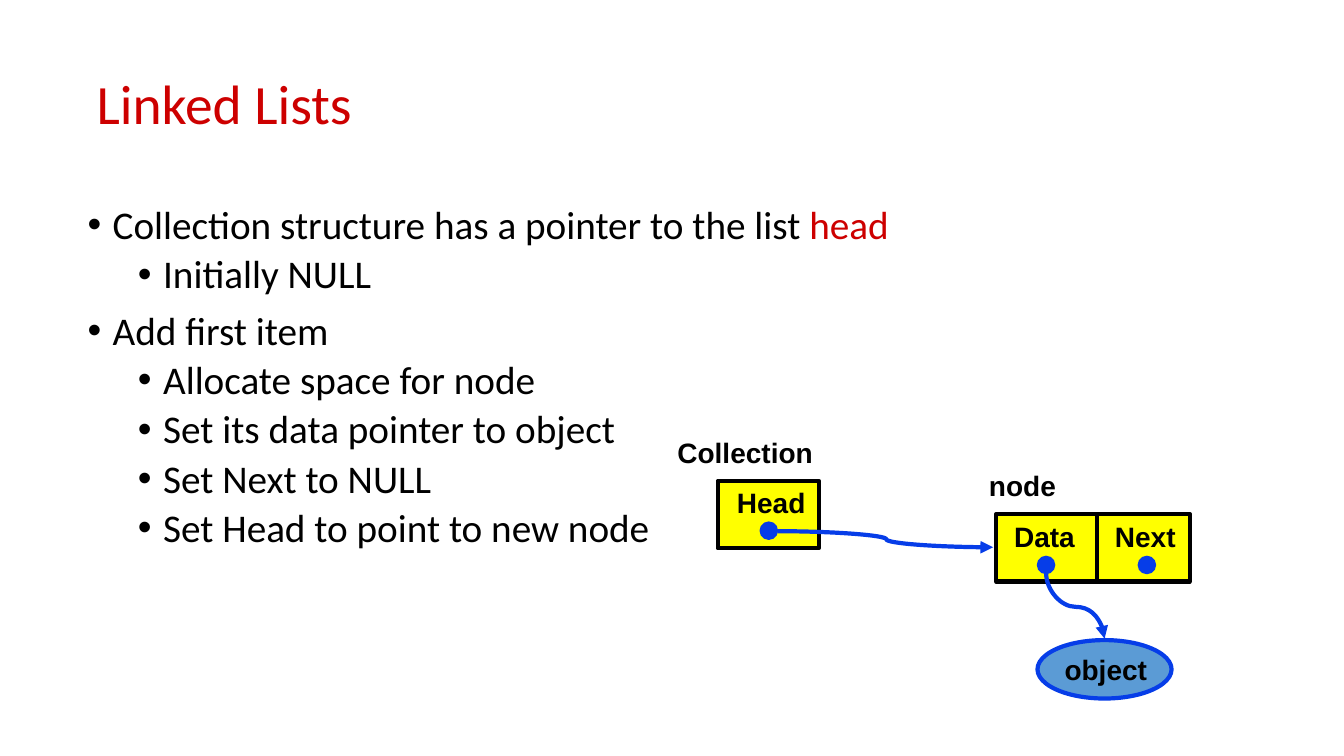
"""Builds the slide on linked lists with a diagram of the first node."""
from lxml import etree
from pptx import Presentation
from pptx.dml.color import RGBColor
from pptx.enum.shapes import MSO_CONNECTOR, MSO_SHAPE
from pptx.enum.text import MSO_ANCHOR, MSO_AUTO_SIZE
from pptx.oxml.ns import qn
from pptx.util import Pt

RECT, OVAL, CURVE = MSO_SHAPE.RECTANGLE, MSO_SHAPE.OVAL, MSO_CONNECTOR.CURVE
MIDDLE, GROW = MSO_ANCHOR.MIDDLE, MSO_AUTO_SIZE.SHAPE_TO_FIT_TEXT
PX = 9144
RED, BLACK, YELLOW, BLUE, SKY = "CD0000", "000000", "FFFF00", "063DE8", "5B9BD5"

TITLE = "Linked Lists"
BULLETS = [
    (0, [("Collection structure has a pointer to the list ", BLACK), ("head", RED)]),
    (1, [("Initially NULL", BLACK)]),
    (0, [("Add first item", BLACK)]),
    (1, [("Allocate space for node", BLACK)]),
    (1, [("Set its data pointer to object", BLACK)]),
    (1, [("Set Next to NULL", BLACK)]),
    (1, [("Set Head to point to new node", BLACK)]),
]
SHAPES = [
    (RECT, (712, 477, 100, 67), YELLOW, BLACK, 3),
    (RECT, (988, 510, 100, 67), YELLOW, BLACK, 3),
    (RECT, (1088, 510, 92, 67), YELLOW, BLACK, 3),
    (OVAL, (1029, 635, 133, 58), SKY, BLUE, 3),
]
DOTS = [(754, 518), (1029, 552), (1129, 552)]
DOT = 17
LABELS = [
    ("Collection", (662, 427, 160, 43)),
    ("Head", (721, 477, 92, 43)),
    ("node", (971, 460, 91, 43)),
    ("Data", (996, 510, 84, 43)),
    ("Next", (1096, 510, 84, 43)),
    ("object", (1046, 642, 106, 43)),
]
LINKS = [
    ((771, 527), (985, 543), 0, 50500),
    ((1099, 572), (1034, 630), 270, 51600),
]


def px(*sizes):
    return [size * PX for size in sizes]


def color(code):
    return RGBColor.from_string(code)


def style(font, size, face, code=None, bold=False):
    font.size, font.name, font.bold = Pt(size), face, bold
    if code:
        font.color.rgb = color(code)


def add_text(slide, box, wrap=True):
    frame = slide.shapes.add_textbox(*px(*box)).text_frame
    frame.word_wrap = wrap
    return frame


def add_list(slide, box):
    frame = add_text(slide, box)
    for i, (level, runs) in enumerate(BULLETS):
        para = frame.paragraphs[0] if i == 0 else frame.add_paragraph()
        para.level = level
        para.line_spacing = 0.9
        para.space_before = Pt(0 if i == 0 else 5 if level else 10)
        props = para._p.get_or_add_pPr()
        props.set("marL", str((25 + 50 * level) * PX))
        props.set("indent", str(-25 * PX))
        etree.SubElement(props, qn("a:buFont"), typeface="Arial")
        etree.SubElement(props, qn("a:buChar"), char="•")
        style(para.font, 28, "Calibri")
        for text, code in runs:
            run = para.add_run()
            run.text = text
            run.font.color.rgb = color(code)


def add_shape(slide, kind, box, fill, line, width):
    shape = slide.shapes.add_shape(kind, *px(*box))
    shape.shadow.inherit = False
    shape.fill.solid()
    shape.fill.fore_color.rgb = color(fill)
    shape.line.color.rgb = color(line)
    shape.line.width = Pt(width)


def add_link(slide, start, end, turn, bend):
    link = slide.shapes.add_connector(CURVE, *px(*start, *end))
    link.line.color.rgb = color(BLUE)
    link.line.width = Pt(3)
    props = link._element.spPr
    props.find(qn("a:xfrm")).set("rot", str(turn * 60000))
    guides = props.find(qn("a:prstGeom")).find(qn("a:avLst"))
    etree.SubElement(guides, qn("a:gd"), name="adj1", fmla=f"val {bend}")
    etree.SubElement(props.find(qn("a:ln")), qn("a:tailEnd"), type="triangle")
    etree.SubElement(props, qn("a:effectLst"))


def main():
    deck = Presentation()
    deck.slide_width, deck.slide_height = px(1333, 750)
    slide = deck.slides.add_slide(deck.slide_layouts[6])

    frame = add_text(slide, (86, 68, 850, 75))
    frame.vertical_anchor = MIDDLE
    head = frame.paragraphs[0]
    head.text, head.line_spacing = TITLE, 0.9
    style(head.font, 39.6, "Calibri", RED)
    add_list(slide, (77, 199, 867, 208))

    for item in SHAPES:
        add_shape(slide, *item)
    for x, y in DOTS:
        add_shape(slide, OVAL, (x, y, DOT, DOT), BLUE, BLUE, 1)
    for link in LINKS:
        add_link(slide, *link)
    for text, box in LABELS:
        frame = add_text(slide, box, False)
        frame.auto_size = GROW
        frame.text = text
        style(frame.paragraphs[0].font, 20, "Arial", BLACK, True)
    deck.save("out.pptx")


if __name__ == "__main__":
    main()
